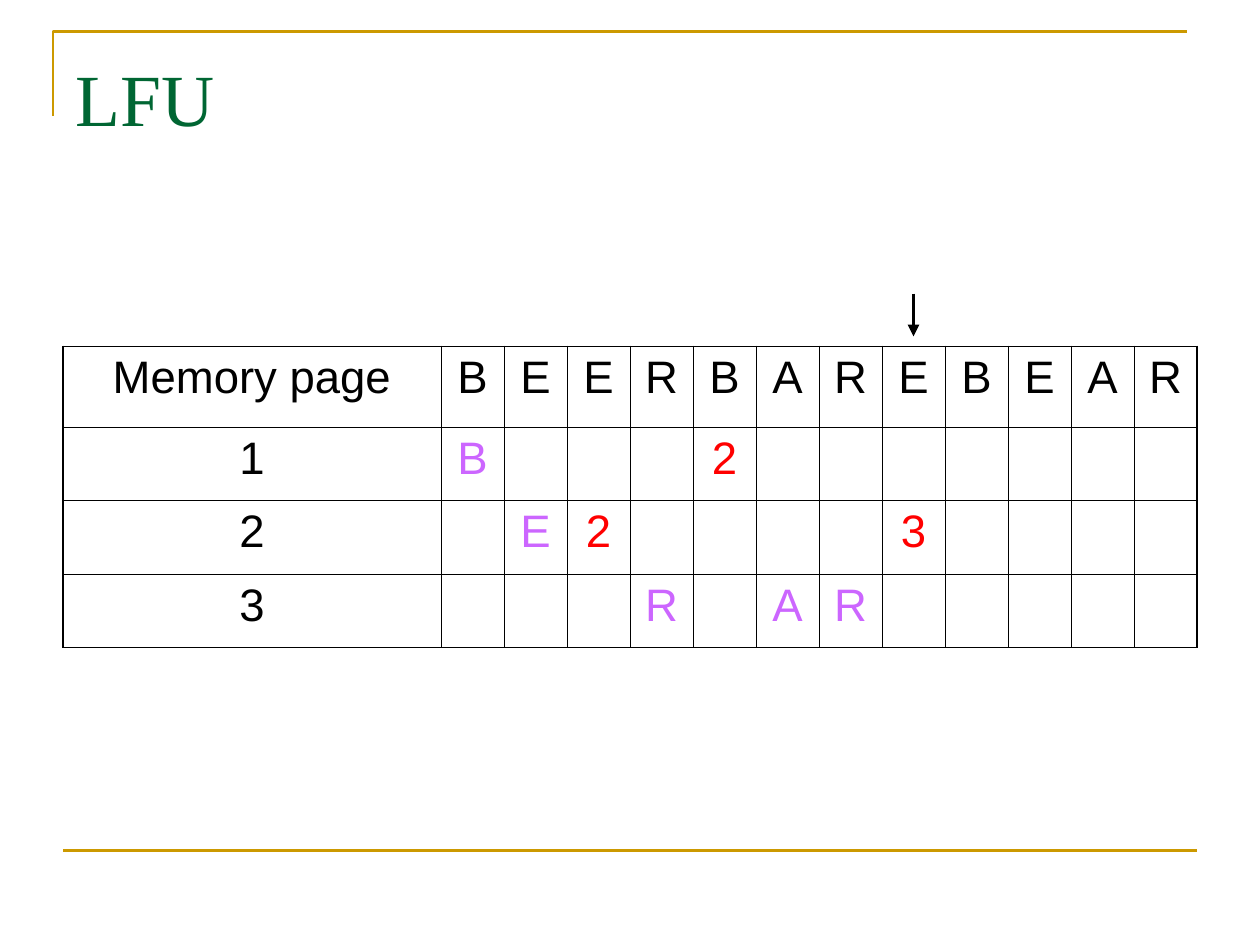
from dataclasses import dataclass

from lxml import etree
from pptx import Presentation
from pptx.dml.color import RGBColor
from pptx.enum.shapes import MSO_CONNECTOR
from pptx.enum.text import MSO_ANCHOR, PP_ALIGN
from pptx.oxml.ns import qn
from pptx.util import Inches, Pt

STRAIGHT = MSO_CONNECTOR.STRAIGHT
CENTER = PP_ALIGN.CENTER
LEFT = PP_ALIGN.LEFT
TOP = MSO_ANCHOR.TOP

BLACK = RGBColor(0x00, 0x00, 0x00)
GOLD = RGBColor(0xCC, 0x99, 0x00)
GREEN = RGBColor(0x00, 0x66, 0x33)
VIOLET = RGBColor(0xCC, 0x66, 0xFF)
RED = RGBColor(0xFF, 0x00, 0x00)

TITLE_FONT = {"name": "Times New Roman", "size": Pt(42)}
CELL_FONT = {"name": "Arial", "size": Pt(26)}
INNER_BORDER = Pt(0.45)
OUTER_BORDER = Pt(1.08)

TABLE_LEFT, TABLE_TOP = 0.5, 2.75
LABEL_WIDTH, STEP_WIDTH = 3, 0.5
ROW_HEIGHTS = (0.64, 0.58, 0.59, 0.58)
REQUESTS = "BEERBAREBEAR"
CURRENT_STEP = 8


@dataclass
class Entry:
    row: int
    column: int
    text: str
    color: RGBColor = BLACK


# Violet letters are page loads, red numbers are use counts
ENTRIES = [
    Entry(0, 0, "Memory page"),
    *(Entry(0, step, page) for step, page in enumerate(REQUESTS, 1)),
    *(Entry(page, 0, str(page)) for page in (1, 2, 3)),
    Entry(1, 1, "B", VIOLET),
    Entry(1, 5, "2", RED),
    Entry(2, 2, "E", VIOLET),
    Entry(2, 3, "2", RED),
    Entry(2, 8, "3", RED),
    Entry(3, 4, "R", VIOLET),
    Entry(3, 6, "A", VIOLET),
    Entry(3, 7, "R", VIOLET),
]


def write(text_frame, text: str, color: RGBColor, font_format: dict, alignment) -> None:
    paragraph = text_frame.paragraphs[0]
    paragraph.alignment = alignment
    run = paragraph.add_run()
    run.text = text
    for attribute, value in font_format.items():
        setattr(run.font, attribute, value)
    run.font.color.rgb = color


def add_line(slide, start: tuple, end: tuple, color: RGBColor, width: float):
    line = slide.shapes.add_connector(STRAIGHT, *map(Inches, start + end))
    line.line.color.rgb = color
    line.line.width = Pt(width)
    etree.SubElement(line._element.spPr, qn("a:effectLst"))
    return line


def add_border(cell, side: str, width: int) -> None:
    properties = cell._tc.get_or_add_tcPr()
    border = etree.SubElement(properties, qn(f"a:ln{side}"), w=str(int(width)))
    fill = etree.SubElement(border, qn("a:solidFill"))
    etree.SubElement(fill, qn("a:srgbClr"), val=str(BLACK))


def add_corner(slide) -> None:
    builder = slide.shapes.build_freeform(Inches(0.42), Inches(0.92))
    builder.add_line_segments(
        [(Inches(0.42), Inches(0.25)), (Inches(9.42), Inches(0.25))], close=False
    )
    corner = builder.convert_to_shape()
    corner.shadow.inherit = False
    corner.fill.background()
    corner.line.color.rgb = GOLD
    corner.line.width = Pt(1.5)


def add_title(slide, text: str) -> None:
    title = slide.shapes.add_textbox(Inches(0.5), Inches(0.3), Inches(9), Inches(1.25))
    frame_format = {
        "word_wrap": True,
        "vertical_anchor": TOP,
        "margin_top": Inches(0.12),
    }
    for attribute, value in frame_format.items():
        setattr(title.text_frame, attribute, value)
    write(title.text_frame, text, GREEN, TITLE_FONT, LEFT)


def add_page_table(slide) -> None:
    widths = [LABEL_WIDTH] + [STEP_WIDTH] * len(REQUESTS)
    row_count, column_count = len(ROW_HEIGHTS), len(widths)
    table = slide.shapes.add_table(
        row_count, column_count, Inches(TABLE_LEFT), Inches(TABLE_TOP),
        Inches(sum(widths)), Inches(sum(ROW_HEIGHTS)),
    ).table
    table.first_row = table.horz_banding = False
    for column, width in zip(table.columns, widths):
        column.width = Inches(width)
    for row, height in zip(table.rows, ROW_HEIGHTS):
        row.height = Inches(height)

    # Thin grid inside a thicker frame
    for row in range(row_count):
        for column in range(column_count):
            cell = table.cell(row, column)
            on_frame = {
                "L": column == 0,
                "R": column == column_count - 1,
                "T": row == 0,
                "B": row == row_count - 1,
            }
            for side, outer in on_frame.items():
                add_border(cell, side, OUTER_BORDER if outer else INNER_BORDER)
            cell.fill.background()

    for entry in ENTRIES:
        cell = table.cell(entry.row, entry.column)
        write(cell.text_frame, entry.text, entry.color, CELL_FONT, CENTER)


def add_step_arrow(slide) -> None:
    center = TABLE_LEFT + LABEL_WIDTH + (CURRENT_STEP - 0.5) * STEP_WIDTH
    arrow = add_line(slide, (center, 2.33), (center, 2.67), BLACK, 2.25)
    etree.SubElement(arrow.line._get_or_add_ln(), qn("a:tailEnd"), type="triangle")


def main() -> None:
    presentation = Presentation()
    presentation.slide_width = Inches(10)
    presentation.slide_height = Inches(7.5)
    slide = presentation.slides.add_slide(presentation.slide_layouts[6])

    # Frame lines and title
    add_corner(slide)
    add_line(slide, (0.5, 6.75), (9.5, 6.75), GOLD, 1.5)
    add_title(slide, "LFU")

    # Page requests and the current step
    add_page_table(slide)
    add_step_arrow(slide)

    presentation.save("out.pptx")


if __name__ == "__main__":
    main()
